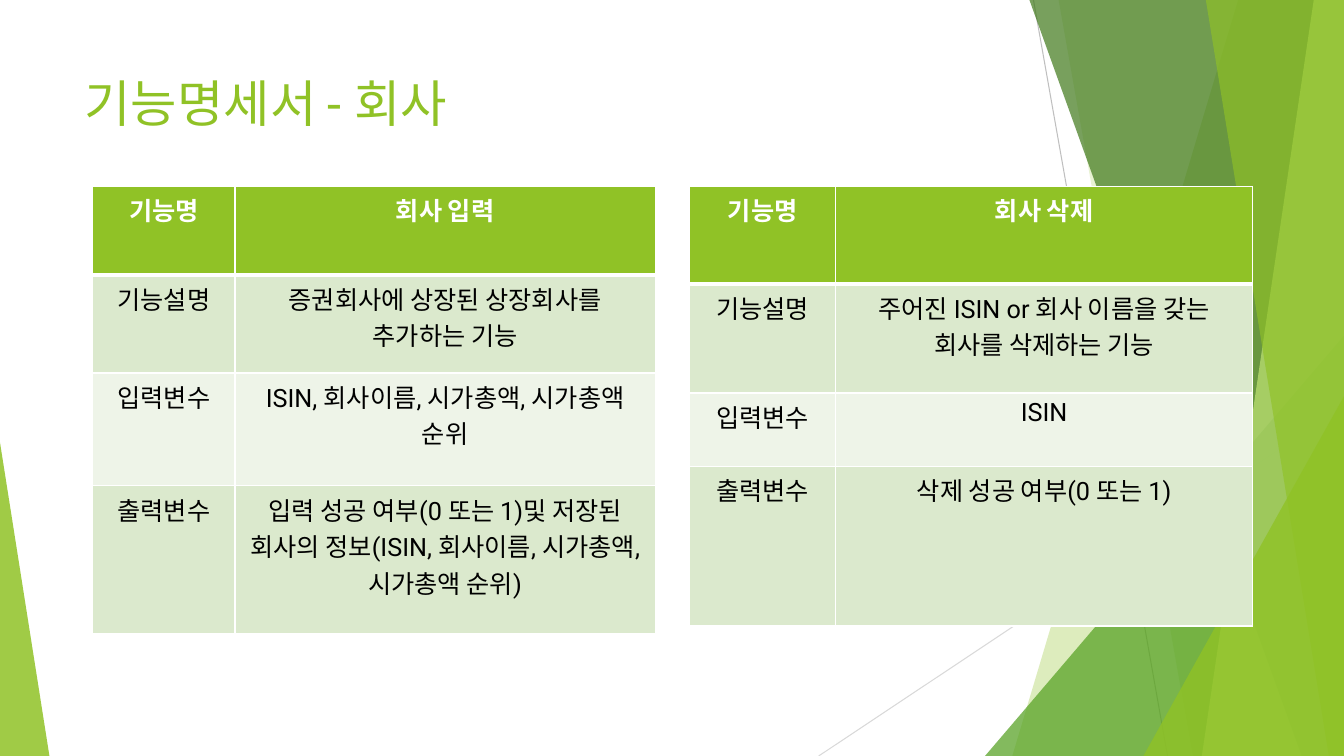
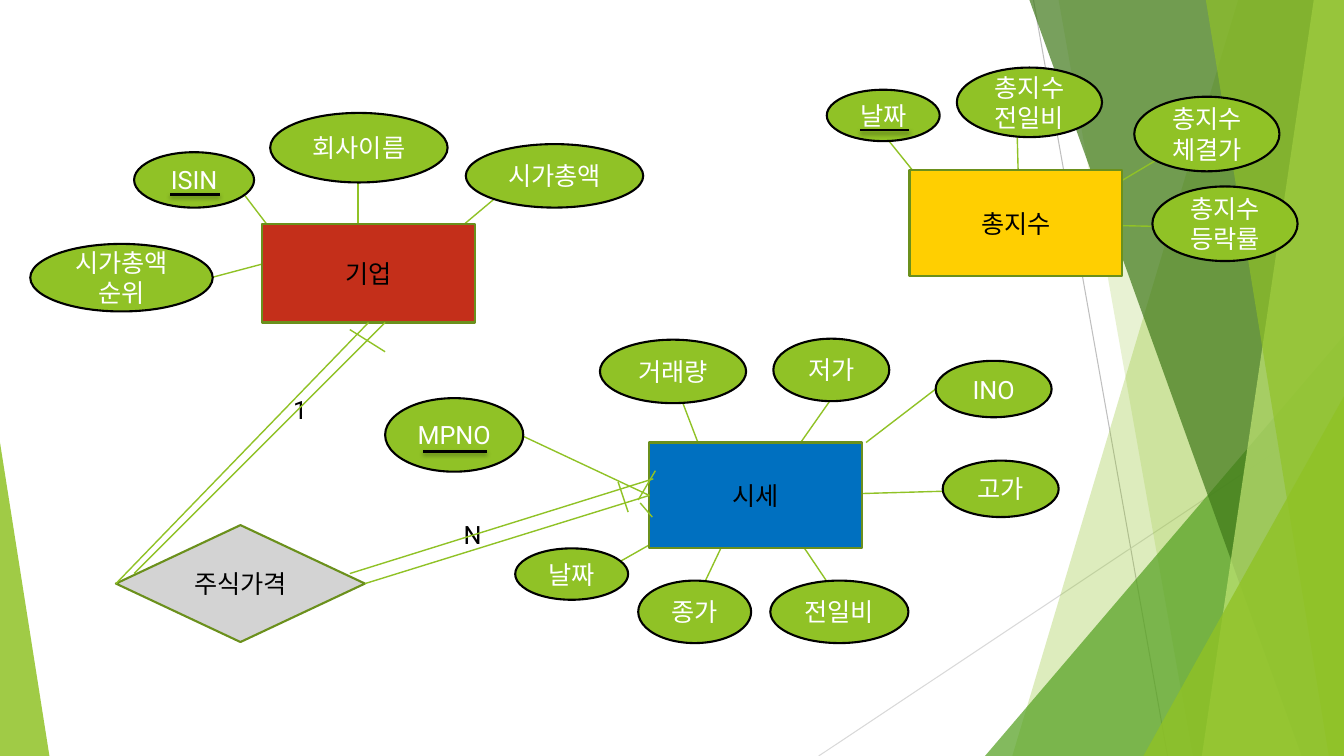
from lxml import etree
from pptx import Presentation
from pptx import util as u
from pptx.dml.color import RGBColor
from pptx.enum import shapes, text
from pptx.oxml.ns import qn

PX = 9144
WIDTH, HEIGHT = 1333, 750
FONT = "Roboto"
GREEN, BLACK, WHITE = "90C226", "000000", "FFFFFF"
OUTLINE = "6B901C"
BANDS = ("DBE9CD", "EEF4E8")

BACKDROP_LINES = [((1025, 0, 1158, 750), "BFBFBF"), ((1333, 403, 812, 750), "D9D9D9")]
BACKDROP_PANELS = [
    ("panel", 1228, 1004, GREEN, 30),
    ("panel", 1050, 1183, GREEN, 20),
    ("triangle", (977, 333, 356, 417), 1, "54A021", 72),
    ("panel", 1021, 1291, "3F7819", 70),
    ("panel", 1303, 1192, "C0E474", 70),
    ("panel", 1196, 1318, GREEN, 65),
    ("triangle", (1134, 393, 199, 357), 1, GREEN, 80),
    ("triangle", (0, 439, 49, 311), 0, GREEN, 85),
]

TITLE = "기능명세서 - 회사"
ROW_NAMES = ["기능명", "기능설명", "입력변수", "출력변수"]
TABLES = [
    {
        "left": 92, "columns": (141, 417), "rows": (88, 97, 112, 147),
        "values": [
            "회사 입력",
            "증권회사에 상장된 상장회사를 추가하는 기능",
            "ISIN, 회사이름, 시가총액, 시가총액 순위",
            "입력 성공 여부(0 또는 1)및 저장된 회사의 정보(ISIN, 회사이름, 시가총액, 시가총액 순위)",
        ],
    },
    {
        "left": 684, "columns": (145, 413), "rows": (97, 108, 73, 158),
        "values": [
            "회사 삭제",
            "주어진 ISIN or 회사 이름을 갖는 회사를 삭제하는 기능",
            "ISIN",
            "삭제 성공 여부(0 또는 1)",
        ],
    },
]
TABLE_TOP = 185

RECTANGLE = shapes.MSO_SHAPE.RECTANGLE
ENTITIES = [
    ("기업", (260, 222, 211, 98), "C42F1A", RECTANGLE),
    ("시세", (644, 439, 211, 105), "0070C0", RECTANGLE),
    ("총지수", (902, 169, 211, 105), "FFCF01", RECTANGLE),
    ("주식가격", (115, 521, 247, 116), "D3D3D3", shapes.MSO_SHAPE.FLOWCHART_DECISION),
]
ATTRIBUTES = [
    ("ISIN", (133, 151, 119, 55)),
    ("시가총액 순위", (30, 242, 181, 67)),
    ("회사이름", (268, 112, 176, 69)),
    ("시가총액", (462, 143, 176, 63)),
    ("날짜", (820, 89, 112, 51)),
    ("총지수 등락률", (1143, 185, 144, 74)),
    ("총지수 체결가", (1125, 96, 144, 74)),
    ("총지수 전일비", (949, 67, 144, 69)),
    ("MPNO", (382, 395, 137, 73)),
    ("날짜", (511, 544, 112, 51)),
    ("전일비", (764, 576, 137, 62)),
    ("종가", (633, 576, 112, 62)),
    ("고가", (935, 457, 115, 56)),
    ("저가", (767, 336, 115, 62)),
    ("거래량", (595, 337, 145, 63)),
    ("INO", (928, 358, 115, 56)),
]
ATTRIBUTE_LINKS = [
    (1214, 226, 1071, 223), (1197, 129, 1071, 204), (1008, 99, 1011, 216),
    (848, 98, 951, 226), (530, 164, 418, 258), (355, 144, 355, 258),
    (594, 569, 712, 502), (685, 607, 732, 508), (833, 596, 771, 504),
    (928, 386, 859, 439), (949, 487, 841, 490), (837, 378, 752, 499),
    (667, 373, 706, 475), (211, 275, 275, 258), (220, 164, 281, 244),
]
JOINED_LINKS = [
    ((515, 431, 644, 492), None, ("시세", 1)),
    ((365, 320, 115, 579), ("기업", 2), ("주식가격", 1)),
    ((362, 579, 644, 492), ("주식가격", 3), ("시세", 1)),
]
SECOND_LINKS = [(382, 320, 133, 569), (347, 569, 648, 475)]
CROSS_MARKS = [
    (347, 327, 382, 349), (635, 499, 647, 513),
    (650, 467, 633, 496), (613, 478, 623, 508),
]
KEY_UNDERLINES = [(169, 193, 218, 193), (853, 129, 902, 129), (420, 448, 483, 448)]
CARDINALITIES = [("1", (281, 386, 34, 40)), ("N", (450, 510, 39, 40))]


def emu(*lengths):
    return [u.Emu(length * PX) for length in lengths]


def color(value):
    return RGBColor.from_string(value)


def write(frame, content, size, ink, align=None, bold=False, east_asian=False):
    frame.text = content
    paragraph = frame.paragraphs[0]
    paragraph.alignment = align
    for run in paragraph.runs:
        run.font.name, run.font.size, run.font.bold = FONT, u.Pt(size), bold
        run.font.color.rgb = color(ink)
        if east_asian:
            etree.SubElement(run.font._element, qn("a:ea"), typeface=FONT)


def add_line(slide, ends, ink=GREEN, width=1, shadow=False):
    line = slide.shapes.add_connector(shapes.MSO_CONNECTOR.STRAIGHT, *emu(*ends))
    line.line.color.rgb = color(ink)
    line.line.width = u.Pt(width)
    effects = etree.SubElement(line._element.spPr, qn("a:effectLst"))
    if shadow:
        outer = etree.SubElement(effects, qn("a:outerShdw"), blurRad="38100",
                                 dist="25400", dir="5400000", rotWithShape="0")
        black = etree.SubElement(outer, qn("a:srgbClr"), val=BLACK)
        etree.SubElement(black, qn("a:alpha"), val="35000")
    return line


def paint(shape, fill, alpha=None, outline=None):
    shape.shadow.inherit = False
    shape.fill.solid()
    shape.fill.fore_color.rgb = color(fill)
    if alpha:
        tint = shape._element.spPr.find(qn("a:solidFill"))[0]
        etree.SubElement(tint, qn("a:alpha"), val=str(alpha * 1000))
    if outline:
        shape.line.color.rgb = color(outline)
        shape.line.width = u.Pt(1.5)
    else:
        shape.line.fill.background()


def add_backdrop(slide):
    for ends, ink in BACKDROP_LINES:
        add_line(slide, ends, ink, 0.75)
    for kind, first, second, fill, alpha in BACKDROP_PANELS:
        if kind == "panel":
            builder = slide.shapes.build_freeform(first, 0, scale=PX)
            builder.add_line_segments([(WIDTH, 0), (WIDTH, HEIGHT), (second, HEIGHT)])
            shape = builder.convert_to_shape()
        else:
            shape = slide.shapes.add_shape(shapes.MSO_SHAPE.ISOSCELES_TRIANGLE, *emu(*first))
            shape.adjustments[0] = second
        paint(shape, fill, alpha)


def add_slide(presentation):
    slide = presentation.slides.add_slide(presentation.slide_layouts[6])
    add_backdrop(slide)
    return slide


def add_node(slide, kind, label, box, fill, outline, ink):
    shape = slide.shapes.add_shape(kind, *emu(*box))
    paint(shape, fill, outline=outline)
    shape.text_frame.vertical_anchor = text.MSO_ANCHOR.MIDDLE
    write(shape.text_frame, label, 18, ink, text.PP_ALIGN.CENTER, east_asian=True)
    return shape


def add_borders(cell, widths):
    properties = cell._tc.get_or_add_tcPr()
    for side, width in widths.items():
        border = etree.SubElement(properties, qn("a:ln" + side), w=str(u.Pt(width)))
        fill = etree.SubElement(border, qn("a:solidFill"))
        etree.SubElement(fill, qn("a:srgbClr"), val=WHITE)


def add_function_table(slide, data):
    columns, rows = data["columns"], data["rows"]
    box = emu(data["left"], TABLE_TOP, sum(columns), sum(rows))
    table = slide.shapes.add_table(len(rows), len(columns), *box).table
    for column, width in zip(table.columns, emu(*columns)):
        column.width = width
    for row, height in zip(table.rows, emu(*rows)):
        row.height = height
    for r, labels in enumerate(zip(ROW_NAMES, data["values"])):
        header = r == 0
        widths = {"L": 1, "R": 1, "T": 3 if r == 1 else 1, "B": 3 if header else 1}
        for c, label in enumerate(labels):
            cell = table.cell(r, c)
            add_borders(cell, widths)
            cell.fill.solid()
            cell.fill.fore_color.rgb = color(GREEN if header else BANDS[(r - 1) % 2])
            write(cell.text_frame, label, 18, WHITE if header else BLACK,
                  text.PP_ALIGN.CENTER, bold=header)


def build_function_slide(presentation):
    slide = add_slide(presentation)
    title = slide.shapes.add_textbox(*emu(74, 67, 940, 144))
    title.text_frame.word_wrap = True
    write(title.text_frame, TITLE, 36, GREEN)
    for data in TABLES:
        add_function_table(slide, data)


def build_diagram_slide(presentation):
    slide = add_slide(presentation)
    for ends in ATTRIBUTE_LINKS:
        add_line(slide, ends)
    entities = {}
    for label, box, fill, kind in ENTITIES:
        entities[label] = add_node(slide, kind, label, box, fill, OUTLINE, BLACK)
    for ends, begin, end in JOINED_LINKS:
        line = add_line(slide, ends)
        if begin:
            line.begin_connect(entities[begin[0]], begin[1])
        line.end_connect(entities[end[0]], end[1])
    for label, box in ATTRIBUTES:
        add_node(slide, shapes.MSO_SHAPE.OVAL, label, box, GREEN, BLACK, WHITE)
    for label, box in CARDINALITIES:
        cardinality = slide.shapes.add_textbox(*emu(*box))
        write(cardinality.text_frame, label, 18, BLACK)
    for ends in CROSS_MARKS + SECOND_LINKS:
        add_line(slide, ends)
    for ends in KEY_UNDERLINES:
        add_line(slide, ends, BLACK, 2, shadow=True)


def main():
    presentation = Presentation()
    presentation.slide_width, presentation.slide_height = emu(WIDTH, HEIGHT)
    build_function_slide(presentation)
    build_diagram_slide(presentation)
    presentation.save("out.pptx")


if __name__ == "__main__":
    main()
